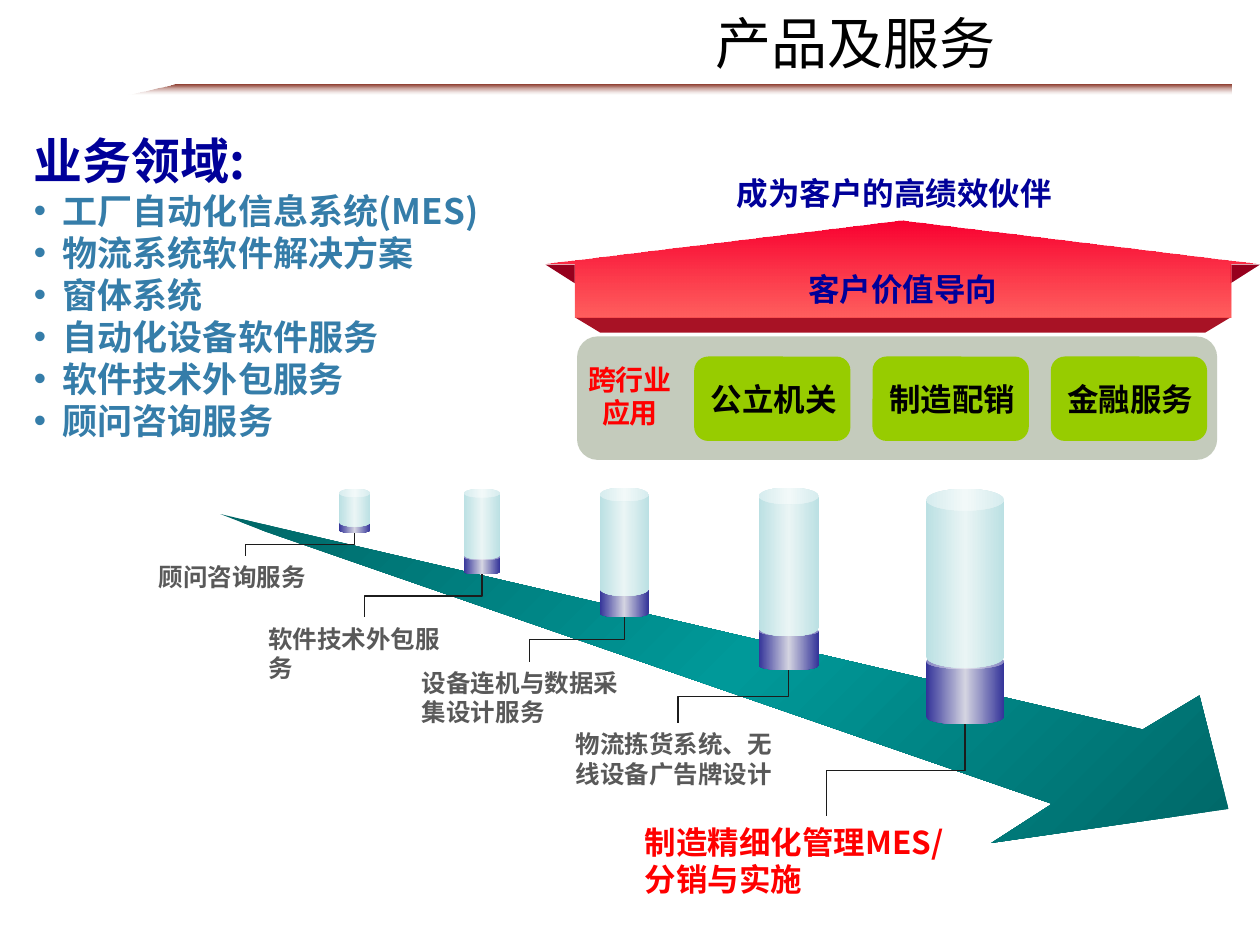
from lxml import etree
from pptx import Presentation
from pptx.dml.color import RGBColor
from pptx.enum.shapes import MSO_CONNECTOR, MSO_SHAPE
from pptx.enum.text import MSO_ANCHOR, PP_ALIGN
from pptx.oxml.ns import qn
from pptx.util import Inches, Pt

FONT = "Noto Sans CJK SC"
ELBOW = MSO_CONNECTOR.ELBOW
CAN, ROUNDED, UP_ARROW = MSO_SHAPE.CAN, MSO_SHAPE.ROUNDED_RECTANGLE, MSO_SHAPE.UP_ARROW
LEFT, CENTER = PP_ALIGN.LEFT, PP_ALIGN.CENTER
MIDDLE = MSO_ANCHOR.MIDDLE

NAVY, RED, BLUE, GREY, BLACK = "000099", "FF0000", "357DA9", "595959", "000000"
GLASS = [(0, "BBE0E3", 100), (50, "EAF5F5", 100), (100, "BBE0E3", 100)]
INDIGO = [(0, "333399", 100), (50, "D4D4E1", 100), (100, "333399", 100)]
TEAL = [(0, "006767", 100), (50, "009999", 100), (100, "006767", 100)]
RED_FADE = [(0, "F90030", 100), (100, "FF3737", 80)]
RULE_FADE = [(0, "883224", 100), (100, "FFFFFF", 30)]


def color(hex_string):
    return RGBColor.from_string(hex_string)


def set_alpha(color_element, percent):
    if percent < 100:
        etree.SubElement(color_element, qn("a:alpha")).set("val", str(percent * 1000))


def paint(shape, fill, angle=0, alpha=100):
    """Fill with a hex colour or a list of (position, colour, alpha) stops."""
    shape.shadow.inherit = False
    shape.line.fill.background()
    properties = shape._element.spPr
    if isinstance(fill, str):
        shape.fill.solid()
        shape.fill.fore_color.rgb = color(fill)
        set_alpha(properties.find(".//" + qn("a:srgbClr")), alpha)
        return
    shape.fill.gradient()
    gradient = properties.find(qn("a:gradFill"))
    gradient.find(qn("a:lin")).set("ang", str(angle * 60000))
    stops = gradient.find(qn("a:gsLst"))
    stops.clear()
    for position, stop_color, stop_alpha in fill:
        stop = etree.SubElement(stops, qn("a:gs"), pos=str(position * 1000))
        set_alpha(etree.SubElement(stop, qn("a:srgbClr"), val=stop_color), stop_alpha)


def add_preset(slide, kind, box, fill, adjustments=(), angle=0, alpha=100):
    shape = slide.shapes.add_shape(kind, *map(Inches, box))
    for index, value in enumerate(adjustments):
        shape.adjustments[index] = value
    paint(shape, fill, angle, alpha)
    return shape


def add_outline(slide, left, top, points, fill, angle=0):
    corners = [(Inches(left + x), Inches(top + y)) for x, y in points]
    builder = slide.shapes.build_freeform(*corners[0])
    builder.add_line_segments(corners[1:], close=True)
    paint(builder.convert_to_shape(), fill, angle)


def style(paragraph, size, font_color, bold=True, align=LEFT):
    paragraph.alignment = align
    paragraph.font.size = Pt(size)
    paragraph.font.name = FONT
    paragraph.font.bold = bold
    paragraph.font.color.rgb = color(font_color)
    for run in paragraph.runs:
        etree.SubElement(run._r.get_or_add_rPr(), qn("a:ea"), typeface=FONT)


def write(shape, lines, size, font_color, wrap=True, **options):
    frame = shape.text_frame
    frame.word_wrap = wrap
    frame.text = "\n".join(lines)
    for paragraph in frame.paragraphs:
        style(paragraph, size, font_color, **options)
    return frame


def add_text(slide, box, lines, size, font_color, **options):
    textbox = slide.shapes.add_textbox(*map(Inches, box))
    return write(textbox, lines, size, font_color, **options)


def make_bullet(paragraph, indent):
    properties = paragraph._p.get_or_add_pPr()
    properties.set("marL", str(Inches(indent)))
    properties.set("indent", str(-Inches(indent)))
    etree.SubElement(properties, qn("a:buFont"), typeface="Arial")
    etree.SubElement(properties, qn("a:buChar"), char="•")


def add_header(slide, left, top):
    points = [(0, 0.08), (8.77, 0.08), (8.77, 0), (0.39, 0)]
    add_outline(slide, left, top + 0.67, points, RULE_FADE, 90)
    frame = add_text(slide, (left + 2.75, top, 6.08, 0.67), ["产品及服务"], 32, BLACK,
                     bold=False, align=CENTER)
    frame.vertical_anchor = MIDDLE


def add_business_areas(slide, box):
    areas = ["工厂自动化信息系统(MES)", "物流系统软件解决方案", "窗体系统",
             "自动化设备软件服务", "软件技术外包服务", "顾问咨询服务"]
    frame = add_text(slide, box, ["业务领域:"], 28, NAVY)
    for area in areas:
        paragraph = frame.add_paragraph()
        paragraph.text = area
        make_bullet(paragraph, 0.23)
        style(paragraph, 20, BLUE)


def add_value_roof(slide, left, top, width):
    """Red roof arrow with its shaded underside and eaves."""
    height, head, underside = 0.77, 0.35, 0.12
    body_share = 0.917
    eave = width * (1 - body_share) / 2
    add_text(slide, (left + 1.42, top - 0.42, 2.83, 0.4), ["成为客户的高绩效伙伴"], 18, NAVY)
    add_outline(slide, left, top,
                [(eave, height), (width - eave, height),
                 (width - eave - 0.2, height + underside),
                 (eave + 0.2, height + underside)], "A81225")
    for tip, wall in ((0, eave), (width, width - eave)):
        add_outline(slide, left, top, [(tip, head), (wall, head), (wall, head + 0.15)],
                    "96001D")
    roof = add_preset(slide, UP_ARROW, (left, top, width, height), RED_FADE,
                      (body_share, 0.448), angle=90)
    write(roof, ["客户价值导向"], 18, NAVY, wrap=False, align=CENTER)
    roof.text_frame.vertical_anchor = MIDDLE


def add_industry_panel(slide, box):
    left, top = box[:2]
    add_preset(slide, ROUNDED, box, "B6BFAC", alpha=80)
    heading = add_text(slide, (left - 0.08, top + 0.25, 1, 0.55), ["跨行业", "应用"],
                       16, RED, align=CENTER)
    for paragraph in heading.paragraphs:
        paragraph.line_spacing = 0.6
    heading.paragraphs[1].space_before = Pt(7.5)
    for index, industry in enumerate(["公立机关", "制造配销", "金融服务"]):
        tile_box = (left + 0.93 + index * 1.415, top + 0.16, 1.24, 0.67)
        tile = add_preset(slide, ROUNDED, tile_box, "97CC00")
        write(tile, [industry], 18, BLACK, wrap=False)
        tile.text_frame.vertical_anchor = MIDDLE


def add_drop_line(slide, start, end):
    """Elbow that leaves downwards: a horizontal elbow turned by 90 degrees."""
    (x1, y1), (x2, y2) = start, end
    center_x, center_y = (x1 + x2) / 2, (y1 + y2) / 2
    half_w, half_h = (y2 - y1) / 2, (x1 - x2) / 2
    line = slide.shapes.add_connector(
        ELBOW, Inches(center_x - half_w), Inches(center_y - half_h),
        Inches(center_x + half_w), Inches(center_y + half_h))
    line.line.color.rgb = color("1C1C1C")
    line.line.width = Pt(0.75)
    properties = line._element.spPr
    properties.find(qn("a:xfrm")).set("rot", "5400000")
    etree.SubElement(properties, qn("a:effectLst"))


def add_service_step(slide, left, top, width, glass, base, label):
    """Glass and base are (offset, height, rim); label is (box, drop x, lines, size, colour)."""
    base_top, base_height, base_rim = base
    glass_top, glass_height, glass_rim = glass
    (label_x, label_y, label_w, label_h), drop_x, lines, size, font_color = label
    bottom = top + base_top + base_height
    add_preset(slide, CAN, (left, top + base_top, width, base_height), INDIGO, (base_rim,))
    add_drop_line(slide, (left + width / 2, bottom), (left + drop_x, top + label_y))
    add_preset(slide, CAN, (left, top + glass_top, width, glass_height), GLASS, (glass_rim,))
    add_text(slide, (left + label_x, top + label_y, label_w, label_h), lines, size, font_color)


def add_service_path(slide, left, top):
    arrow = [(0.76, 0.18), (0, 0), (0.36, 0.14), (6.6, 2.3), (6.12, 2.61),
             (8, 2.34), (7.77, 1.44), (7.32, 1.71)]
    add_outline(slide, left, top + 0.21, arrow, TEAL, 45)
    steps = [
        (0.94, 0.25, (0.01, 0.3, 0.268), (0.25, 0.11, 0.398),
         ((-1.53, 0.54, 1.57, 0.33), -0.74, ["顾问咨询服务"], 14, GREY)),
        (1.93, 0.29, (0.01, 0.56, 0.239), (0.53, 0.16, 0.273),
         ((-1.65, 1.03, 1.71, 0.57), -0.79, ["软件技术外包服务"], 14, GREY)),
        (3.01, 0.39, (0, 0.86, 0.282), (0.78, 0.25, 0.25),
         ((-1.51, 1.38, 1.89, 0.57), -0.56, ["设备连机与数据采集设计服务"], 14, GREY)),
        (4.27, 0.48, (0, 1.18, 0.276), (1.1, 0.35, 0.217),
         ((-1.55, 1.87, 1.81, 0.57), -0.64, ["物流拣货系统、无线设备广告牌设计"], 14, GREY)),
        (5.6, 0.62, (0.01, 1.42, 0.28), (1.32, 0.56, 0.214),
         ((-2.33, 2.61, 3.07, 0.7), -0.79, ["制造精细化管理MES/", "分销与实施"], 18, RED)),
    ]
    for offset, *step in steps:
        add_service_step(slide, left + offset, top, *step)


def main():
    deck = Presentation()
    deck.slide_width, deck.slide_height = Inches(10), Inches(7.5)
    slide = deck.slides.add_slide(deck.slide_layouts[6])
    add_header(slide, 1, 0)
    add_business_areas(slide, (0.17, 0.99, 4.42, 2.57))
    add_value_roof(slide, 4.33, 1.75, 5.67)
    add_industry_panel(slide, (4.58, 2.67, 5.08, 0.98))
    add_service_path(slide, 1.75, 3.87)
    deck.save("out.pptx")


if __name__ == "__main__":
    main()
